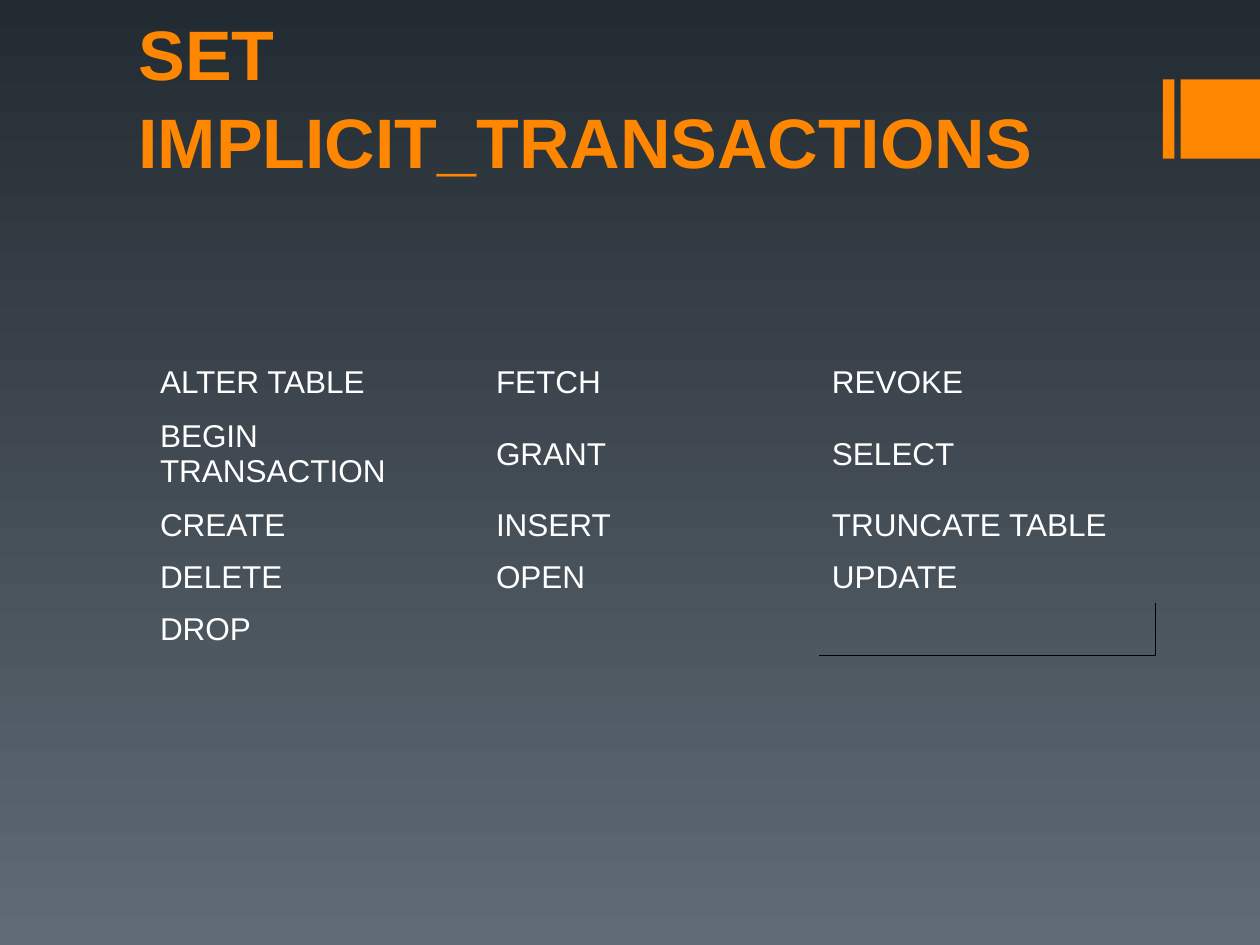
import pptx
import pptx.util
import pptx.oxml
import pptx.oxml.ns
import pptx.dml.color
import pptx.enum.shapes
import pptx.enum.text

Inches = pptx.util.Inches
Pt = pptx.util.Pt
RGBColor = pptx.dml.color.RGBColor

ORANGE = RGBColor(0xFF, 0x86, 0x00)
WHITE = RGBColor(0xFF, 0xFF, 0xFF)
BLACK = RGBColor(0x00, 0x00, 0x00)
BG_TOP = RGBColor(0x23, 0x2B, 0x32)
BG_BOTTOM = RGBColor(0x60, 0x6B, 0x76)
FONT = "Arial"
NO_GRID_STYLE = "{2D5ABB26-0587-4C30-8999-92F81FD0307C}"

STATEMENTS = [
    ["ALTER TABLE", "FETCH", "REVOKE"],
    ["BEGIN TRANSACTION", "GRANT", "SELECT"],
    ["CREATE", "INSERT", "TRUNCATE TABLE"],
    ["DELETE", "OPEN", "UPDATE"],
    ["DROP", "", ""],
]
ROW_HEIGHTS = [0.41, 0.73, 0.41, 0.41, 0.41]


def set_background(slide):
    fill = slide.background.fill
    fill.gradient()
    fill.gradient_angle = 270
    for stop, color, position in zip(fill.gradient_stops, (BG_TOP, BG_BOTTOM), (0, 1)):
        stop.color.rgb = color
        stop.position = position


def style_paragraph(p, size, color, bold=False):
    p.alignment = pptx.enum.text.PP_ALIGN.LEFT
    p.font.name = FONT
    p.font.size = Pt(size)
    p.font.bold = bold
    p.font.color.rgb = color


def add_block(slide, left, width):
    sp = slide.shapes.add_shape(pptx.enum.shapes.MSO_SHAPE.RECTANGLE,
                                Inches(left), Inches(0.63), Inches(width), Inches(0.63))
    sp.shadow.inherit = False
    sp.fill.solid()
    sp.fill.fore_color.rgb = ORANGE
    sp.line.fill.background()


def set_title(slide, text):
    sp = slide.shapes.title
    sp.left, sp.top, sp.width, sp.height = Inches(1), Inches(0.17), Inches(8), Inches(1.33)
    tf = sp.text_frame
    tf.text = text
    tf.word_wrap = True
    tf.auto_size = pptx.enum.text.MSO_AUTO_SIZE.NONE
    tf.vertical_anchor = pptx.enum.text.MSO_ANCHOR.BOTTOM
    p = tf.paragraphs[0]
    p.line_spacing = 1.05
    style_paragraph(p, 40, ORANGE, bold=True)


def set_borders(cell, visible=""):
    """Draw a thin black line on the visible sides (of L, R, T, B) and none elsewhere."""
    tc_pr = cell._tc.get_or_add_tcPr()
    for side in "LRTB":
        line = (f'<a:solidFill><a:srgbClr val="{BLACK}"/></a:solidFill>'
                if side in visible else "<a:noFill/>")
        tc_pr.append(pptx.oxml.parse_xml(
            f'<a:ln{side} {pptx.oxml.ns.nsdecls("a")} w="{Pt(0.45)}">{line}</a:ln{side}>'))


def add_statement_table(slide):
    n_rows, n_cols = len(STATEMENTS), len(STATEMENTS[0])
    table = slide.shapes.add_table(n_rows, n_cols, Inches(1.17), Inches(2.83),
                                   Inches(8), Inches(sum(ROW_HEIGHTS))).table
    table.first_row = table.horz_banding = False
    table._tbl.tblPr.find(pptx.oxml.ns.qn("a:tableStyleId")).text = NO_GRID_STYLE
    for row, height in zip(table.rows, ROW_HEIGHTS):
        row.height = Inches(height)
    for r, texts in enumerate(STATEMENTS):
        for c, text in enumerate(texts):
            cell = table.cell(r, c)
            is_corner = (r, c) == (n_rows - 1, n_cols - 1)
            set_borders(cell, "RB" if is_corner else "")
            cell.fill.background()
            cell.vertical_anchor = pptx.enum.text.MSO_ANCHOR.MIDDLE
            cell.text = text
            style_paragraph(cell.text_frame.paragraphs[0], 18, WHITE)


def main():
    prs = pptx.Presentation()
    prs.slide_width, prs.slide_height = Inches(10), Inches(7.5)
    slide = prs.slides.add_slide(prs.slide_layouts[5])
    set_background(slide)

    # Accent blocks at the right edge
    add_block(slide, 9.23, 0.09)
    add_block(slide, 9.37, 0.63)

    # Title and statement list
    set_title(slide, "SET IMPLICIT_TRANSACTIONS")
    add_statement_table(slide)

    prs.save("out.pptx")


if __name__ == "__main__":
    main()
